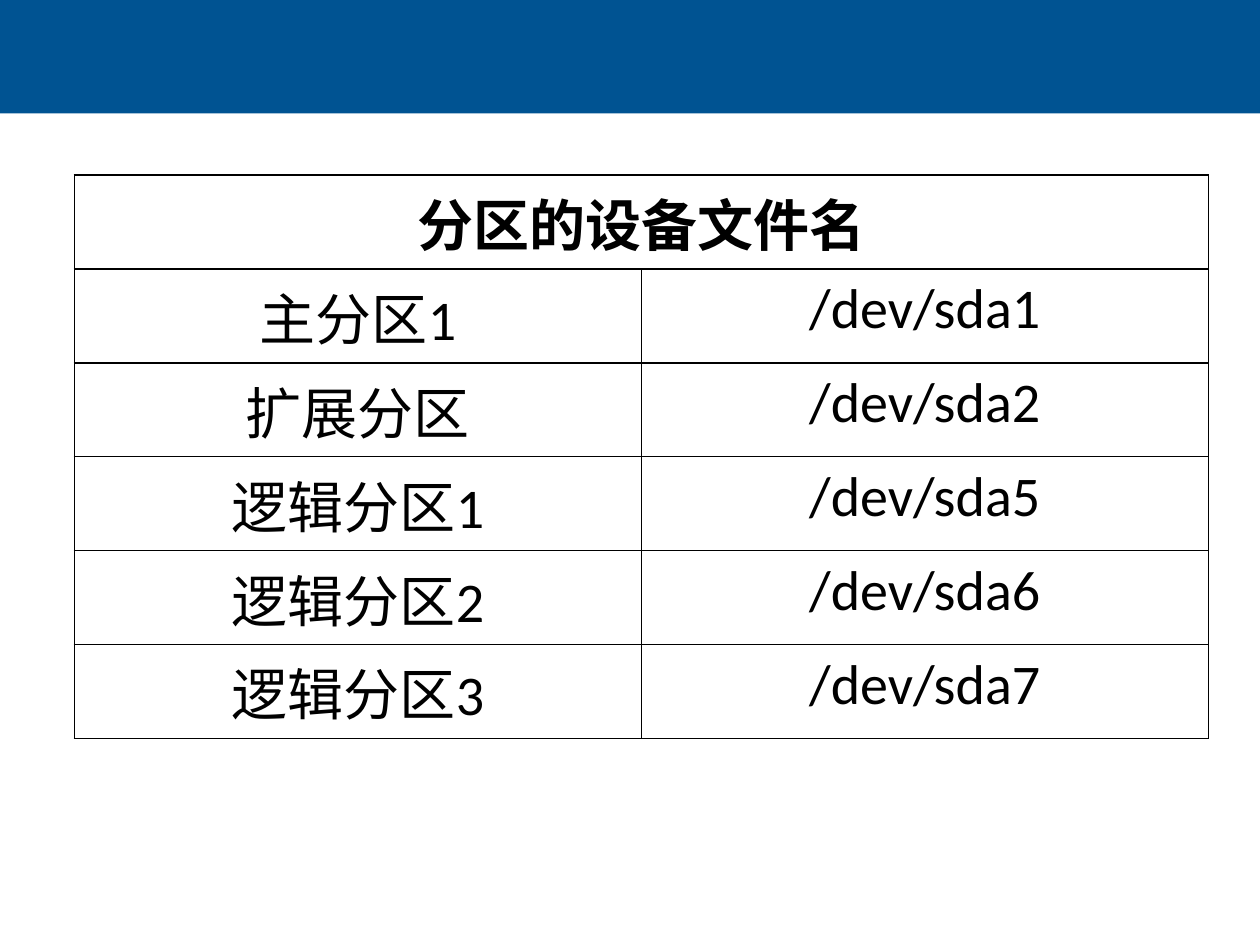
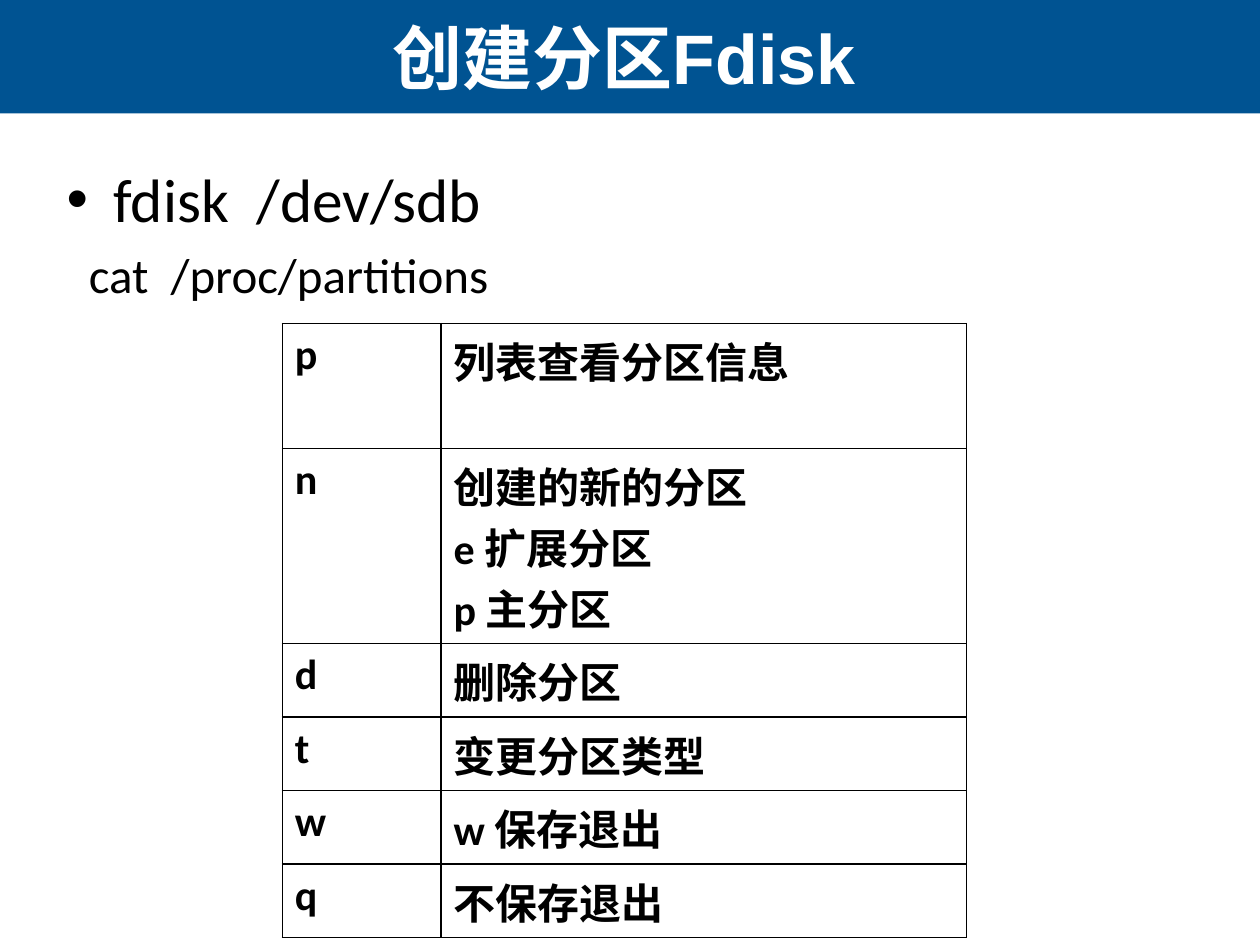
from lxml.etree import SubElement
from pptx import Presentation
from pptx.dml.color import RGBColor
from pptx.enum.shapes import MSO_SHAPE as Shape
from pptx.enum.text import MSO_ANCHOR as Anchor, PP_ALIGN as Align
from pptx.oxml.ns import qn
from pptx.util import Pt

BLUE, BLACK, WHITE = "005392", "000000", "FFFFFF"
WIDTH, HEIGHT, BAND_HEIGHT = 720, 540, 64.8


def color(value):
    return RGBColor.from_string(value)


class Deck:
    """Holds the shared style and the slide being filled."""
    body_font, title_font = "Calibri", "Arial"

    def __init__(self):
        self.presentation = Presentation()
        self.presentation.slide_width = Pt(WIDTH)
        self.presentation.slide_height = Pt(HEIGHT)

    def new_slide(self):
        blank = self.presentation.slide_layouts[6]
        self.slide = self.presentation.slides.add_slide(blank)
        band = self.slide.shapes.add_shape(
            Shape.RECTANGLE, 0, 0, Pt(WIDTH), Pt(BAND_HEIGHT))
        band.shadow.inherit = False
        band.fill.solid()
        band.fill.fore_color.rgb = color(BLUE)
        band.line.fill.background()

    def run(self, paragraph, text, size, bold=False, font=body_font, ink=BLACK):
        run = paragraph.add_run()
        run.text = text
        run.font.name = font
        run.font.size = Pt(size)
        run.font.bold = bold
        run.font.color.rgb = color(ink)

    def text_box(self, left, top, width, height):
        box = self.slide.shapes.add_textbox(
            Pt(left), Pt(top), Pt(width), Pt(height))
        box.text_frame.word_wrap = True
        return box.text_frame

    def title(self, text):
        frame = self.text_box(1.4, 0, 710.6, BAND_HEIGHT)
        frame.vertical_anchor = Anchor.MIDDLE
        paragraph = frame.paragraphs[0]
        paragraph.alignment = Align.CENTER
        self.run(paragraph, text, 40, True, self.title_font, WHITE)

    def command_text(self, bullet_text, detail):
        frame = self.text_box(31, 88.6, 648, 356.4)
        # Bulleted command
        paragraph = frame.paragraphs[0]
        paragraph.space_before = Pt(1.5)
        self.run(paragraph, bullet_text, 35)
        properties = paragraph._p.get_or_add_pPr()
        properties.set("marL", str(Pt(27)))
        properties.set("indent", str(Pt(-27)))
        SubElement(properties, qn("a:buFont")).set("typeface", "Arial")
        SubElement(properties, qn("a:buChar")).set("char", "•")
        # Indented line below it
        paragraph = frame.add_paragraph()
        paragraph.space_before = Pt(5.6)
        self.run(paragraph, detail, 28)
        paragraph._p.get_or_add_pPr().set("marL", str(Pt(12.7)))

    def border(self, cell):
        properties = cell._tc.get_or_add_tcPr()
        for side in ("lnL", "lnR", "lnT", "lnB"):
            line = SubElement(properties, qn(f"a:{side}"), w=str(Pt(1)))
            fill = SubElement(line, qn("a:solidFill"))
            SubElement(fill, qn("a:srgbClr"), val=BLACK)
        cell.fill.background()

    def table(self, left, top, widths, heights, rows, size,
              align=Align.LEFT, bold=False, heading=False):
        frame = self.slide.shapes.add_table(
            len(rows), len(widths), Pt(left), Pt(top),
            Pt(sum(widths)), Pt(sum(heights)))
        table = frame.table
        table.first_row = table.horz_banding = False
        for column, width in zip(table.columns, widths):
            column.width = Pt(width)
        for row, height in zip(table.rows, heights):
            row.height = Pt(height)
        for cell in table.iter_cells():
            self.border(cell)
        if heading:
            table.cell(0, 0).merge(table.cell(0, len(widths) - 1))
        for r, texts in enumerate(rows):
            for c, text in enumerate(texts):
                text_frame = table.cell(r, c).text_frame
                for i, line in enumerate(text.split("\n")):
                    paragraph = (text_frame.add_paragraph() if i
                                 else text_frame.paragraphs[0])
                    paragraph.alignment = align
                    self.run(paragraph, line, size,
                             bold or (heading and r == 0))


deck = Deck()

# Slide 1: device file names
deck.new_slide()
partitions = [
    ["分区的设备文件名"],
    ["主分区1", "/dev/sda1"],
    ["扩展分区", "/dev/sda2"],
    ["逻辑分区1", "/dev/sda5"],
    ["逻辑分区2", "/dev/sda6"],
    ["逻辑分区3", "/dev/sda7"],
]
deck.table(42.5, 100, [324, 324], [53.6] * len(partitions), partitions, 32,
           align=Align.CENTER, heading=True)

# Slide 2: fdisk commands
deck.new_slide()
deck.command_text("fdisk  /dev/sdb", "cat  /proc/partitions")
deck.title("创建分区Fdisk")
commands = [
    ["p", "列表查看分区信息"],
    ["n", "创建的新的分区\ne 扩展分区\np 主分区"],
    ["d", "删除分区"],
    ["t", "变更分区类型"],
    ["w", "w 保存退出"],
    ["q", "不保存退出"],
]
deck.table(161.3, 185, [90.7, 300.3], [71.4, 111.5] + [42] * 4, commands, 24,
           bold=True)

deck.presentation.save("out.pptx")
